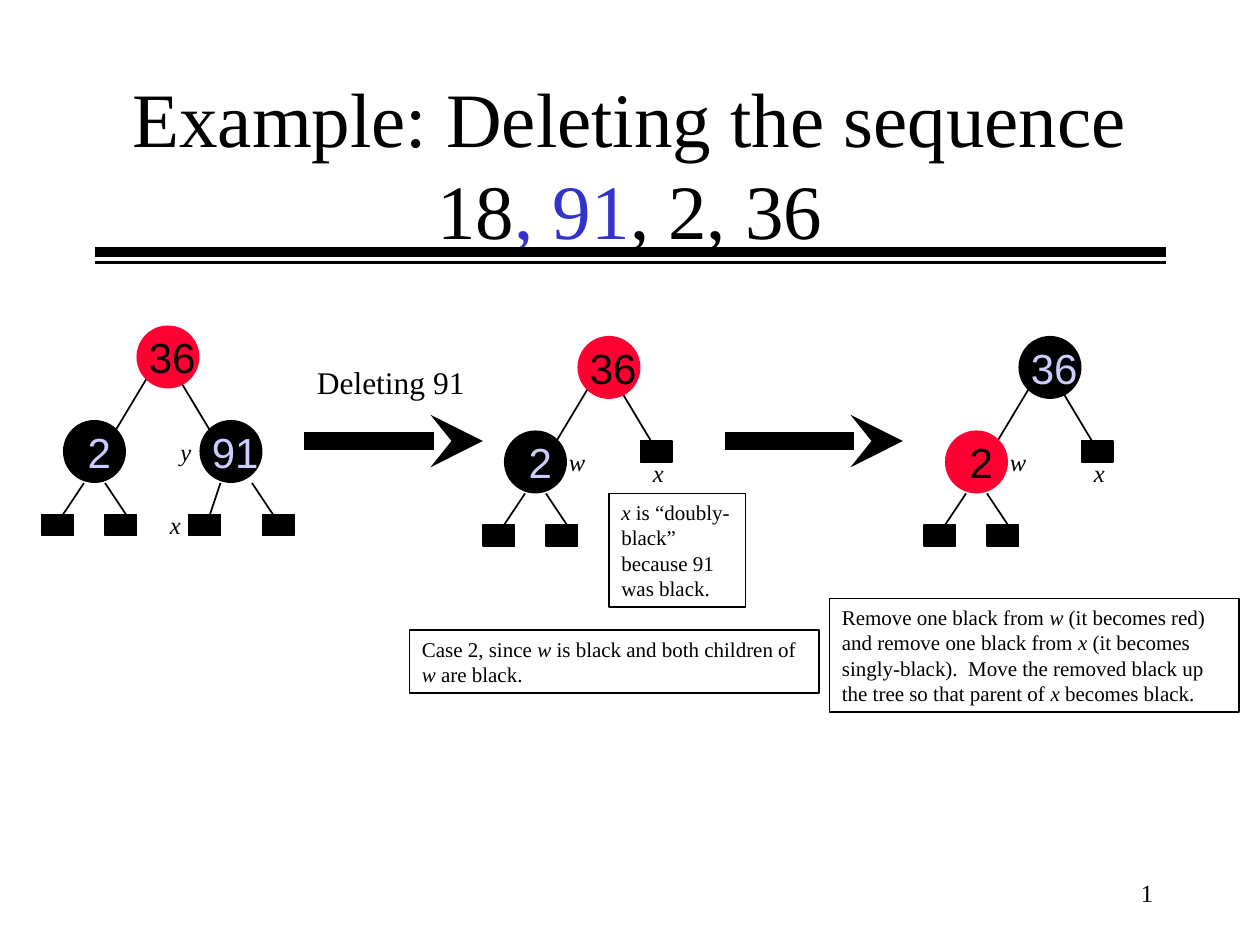
from lxml.etree import SubElement
from pptx import Presentation
from pptx.dml.color import RGBColor
from pptx.enum.shapes import MSO_CONNECTOR, MSO_SHAPE
from pptx.enum.text import MSO_ANCHOR, MSO_AUTO_SIZE, PP_ALIGN
from pptx.oxml.ns import qn
from pptx.util import Pt

COLORS = {"black": "000000", "red": "FF0033", "blue": "3333CC", "pale": "CCCCFF"}
SERIF, SANS = "Times New Roman", "Arial"
NODE = 36
LEAF_W, LEAF_H = 18, 12


def rgb(name):
    return RGBColor.from_string(COLORS[name])


def set_font(paragraph, size, color="black", face=SERIF, italic=None):
    font = paragraph.font
    font.size, font.name, font.italic = Pt(size), face, italic
    font.color.rgb = rgb(color)


def add_line(slide, x1, y1, x2, y2, weight=1, arrow=False):
    line = slide.shapes.add_connector(
        MSO_CONNECTOR.STRAIGHT, Pt(x1), Pt(y1), Pt(x2), Pt(y2))
    line.line.color.rgb = rgb("black")
    line.line.width = Pt(weight)
    if arrow:
        SubElement(line.line._get_or_add_ln(), qn("a:tailEnd"), type="stealth")
    SubElement(line._element.spPr, qn("a:effectLst"))


def add_solid(slide, kind, x, y, width, height, color):
    solid = slide.shapes.add_shape(kind, Pt(x), Pt(y), Pt(width), Pt(height))
    solid.shadow.inherit = False
    solid.fill.solid()
    solid.fill.fore_color.rgb = rgb(color)
    solid.line.fill.background()
    return solid


def add_text(slide, text, x, y, width, height, size, wrap=True, **style):
    box = slide.shapes.add_textbox(Pt(x), Pt(y), Pt(width), Pt(height))
    frame = box.text_frame
    frame.word_wrap = wrap
    paragraph = frame.paragraphs[0]
    paragraph.text = text
    set_font(paragraph, size, **style)
    return frame


def add_node(slide, x, y, key, color):
    add_solid(slide, MSO_SHAPE.OVAL, x, y, NODE, NODE, color)
    number_color = "pale" if color == "black" else "black"
    frame = add_text(slide, key, x, y, 54, NODE, 24,
                     color=number_color, face=SANS)
    if len(key) == 1:
        frame.margin_left = Pt(14)


def add_leaf(slide, x, y):
    leaf = add_solid(slide, MSO_SHAPE.RECTANGLE, x, y, LEAF_W, LEAF_H, "black")
    leaf.line.color.rgb = rgb("black")
    leaf.line.width = Pt(1)


def add_tree(slide, left, top, root_color, left_color, labels, right_key=None):
    """Draw a tree; without right_key the right child is a leaf."""
    edges = [(60, 30, 42, 60), (78, 30, 96, 60),
             (24, 90, 12, 108), (36, 90, 48, 108)]
    leaves = [(0, 108), (36, 108)]
    nodes = [(54, 0, "36", root_color), (12, 54, "2", left_color)]
    if right_key:
        edges += [(102, 90, 96, 108), (120, 90, 132, 108)]
        leaves += [(84, 108), (126, 108)]
        nodes.append((90, 54, right_key, "black"))
    else:
        leaves.append((90, 60))

    for x1, y1, x2, y2 in edges:
        add_line(slide, left + x1, top + y1, left + x2, top + y2)
    for x, y in leaves:
        add_leaf(slide, left + x, top + y)
    for x, y, key, color in nodes:
        add_node(slide, left + x, top + y, key, color)
    for name, x, y in labels:
        add_text(slide, name, left + x, top + y, 24, 24, 14, italic=True)


def add_note(slide, text, x, y, width, height):
    """Draw an outlined note; words between asterisks are italic."""
    note = slide.shapes.add_shape(
        MSO_SHAPE.RECTANGLE, Pt(x), Pt(y), Pt(width), Pt(height))
    note.shadow.inherit = False
    note.fill.background()
    note.line.color.rgb = rgb("black")
    note.line.width = Pt(1)
    frame = note.text_frame
    frame.word_wrap = True
    frame.vertical_anchor = MSO_ANCHOR.TOP
    paragraph = frame.paragraphs[0]
    paragraph.alignment = PP_ALIGN.LEFT
    set_font(paragraph, 12)
    for index, part in enumerate(text.split("*")):
        if part:
            run = paragraph.add_run()
            run.text = part
            run.font.italic = index % 2 == 1
            run.font.color.rgb = rgb("black")


def add_heading(slide, left, top, width, height):
    title = slide.shapes.title
    title.left, title.top = Pt(left), Pt(top)
    title.width, title.height = Pt(width), Pt(height)
    frame = title.text_frame
    frame.auto_size = MSO_AUTO_SIZE.NONE
    frame.word_wrap = True
    frame.vertical_anchor = MSO_ANCHOR.MIDDLE
    paragraph = frame.paragraphs[0]
    paragraph.alignment = PP_ALIGN.CENTER
    set_font(paragraph, 44)
    for text, color in (("Example: Deleting the sequence 18", "black"),
                        (", 91", "blue"), (", 2, 36", "black")):
        run = paragraph.add_run()
        run.text = text
        run.font.color.rgb = rgb(color)
    # Double rule under the title
    for offset, weight in ((96, 6), (102, 2)):
        add_line(slide, left, top + offset, left + width, top + offset, weight)


def add_slide_number(slide, x, y, width, height):
    frame = add_text(slide, "", x, y, width, height, 14)
    frame.vertical_anchor = MSO_ANCHOR.MIDDLE
    paragraph = frame.paragraphs[0]
    paragraph.alignment = PP_ALIGN.RIGHT
    run = paragraph.add_run()
    run.text = "4"
    run.font.size, run.font.name = Pt(14), SERIF
    # Turn the run into a slide number field
    field = run._r
    field.tag = qn("a:fld")
    field.set("id", "{B6F15528-21DE-4FAA-801E-634DDDAF4B2B}")
    field.set("type", "slidenum")


def main():
    deck = Presentation()
    deck.slide_width, deck.slide_height = Pt(720), Pt(540)
    slide = deck.slides.add_slide(deck.slide_layouts[5])

    add_heading(slide, 54, 48, 612, 90)

    # Three stages of the deletion
    sibling_labels = [("w", 42, 60), ("x", 90, 66)]
    add_tree(slide, 24, 186, "red", "black",
             [("y", 72, 60), ("x", 66, 102)], right_key="91")
    add_tree(slide, 276, 192, "red", "black", sibling_labels)
    add_tree(slide, 528, 192, "black", "red", sibling_labels)

    # Arrows between the stages
    for start in (174, 414):
        add_line(slide, start, 252, start + 102, 252, weight=10, arrow=True)
    add_text(slide, "Deleting 91", 174, 204, 99, 29, 18, wrap=False)

    # Explanations
    add_note(slide, "*x* is “doubly-black” because 91 was black.",
             348, 282, 78, 65)
    add_note(slide, "Case 2, since *w* is black and both children of *w* are black.",
             234, 360, 234, 36)
    add_note(slide, "Remove one black from *w* (it becomes red) and remove one black "
             "from *x* (it becomes singly-black).  Move the removed black up the "
             "tree so that parent of *x* becomes black.", 474, 342, 234, 65)

    add_slide_number(slide, 516, 492, 150, 36)
    deck.save("out.pptx")


if __name__ == "__main__":
    main()
